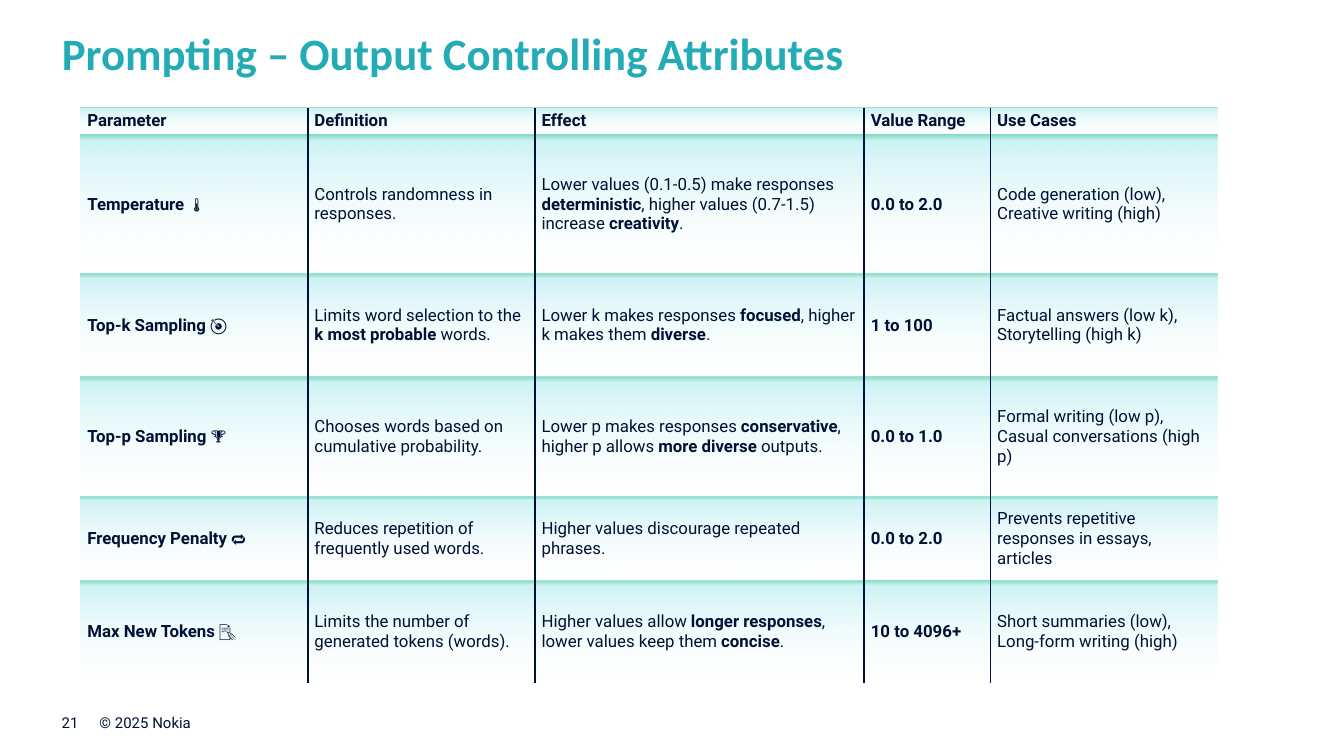
from lxml import etree
from pptx import Presentation
from pptx.dml.color import RGBColor
from pptx.enum.text import MSO_ANCHOR as Anchor, MSO_AUTO_SIZE as AutoSize, PP_ALIGN as Align
from pptx.oxml import parse_xml
from pptx.oxml.ns import nsdecls, qn
from pptx.util import Inches, Pt

# Content: **double stars** mark bold words
TITLE = "Prompting – Output Controlling Attributes"
HEADER = ["Parameter", "Definition", "Effect", "Value Range", "Use Cases"]
ROWS = [
    ["Temperature 🌡️", "Controls randomness in responses.",
     "Lower values (0.1-0.5) make responses **deterministic**, "
     "higher values (0.7-1.5) increase **creativity**.",
     "0.0 to 2.0", "Code generation (low), Creative writing (high)"],
    ["Top-k Sampling 🎯", "Limits word selection to the **k most probable** words.",
     "Lower k makes responses **focused**, higher k makes them **diverse**.",
     "1 to 100", "Factual answers (low k), Storytelling (high k)"],
    ["Top-p Sampling 🏆", "Chooses words based on cumulative probability.",
     "Lower p makes responses **conservative**, higher p allows **more diverse** outputs.",
     "0.0 to 1.0", "Formal writing (low p), Casual conversations (high p)"],
    ["Frequency Penalty 🔁", "Reduces repetition of frequently used words.",
     "Higher values discourage repeated phrases.",
     "0.0 to 2.0", "Prevents repetitive responses in essays, articles"],
    ["Max New Tokens 📝", "Limits the number of generated tokens (words).",
     "Higher values allow **longer responses**, lower values keep them **concise**.",
     "10 to 4096+", "Short summaries (low), Long-form writing (high)"],
]
FOOTER = [("21", 0.46, 0.13), ("© 2025 Nokia", 0.74, 0.69)]  # text, left, width

# Style
COLORS = {"ink": "001135", "title": "23ABB6",
          "fade": "FFFFFF", "tint": "CEF3F6", "edge": "7EDBC2"}
COLUMN_WIDTHS = [1.69, 1.69, 2.45, 0.94, 1.69]
ROW_HEIGHTS = [0.2, 1.04, 0.76, 0.9, 0.62, 0.76]
TABLE_WIDTH, TABLE_HEIGHT = Inches(8.47), Inches(4.26)
BOLD_COLUMNS = {0, 3}
NO_STYLE = "{2D5ABB26-0587-4C30-8999-92F81FD0307C}"
GRADIENT = f"""<a:gradFill {nsdecls('a')} rotWithShape="1"><a:gsLst>
<a:gs pos="0"><a:srgbClr val="{COLORS['fade']}"><a:alpha val="0"/></a:srgbClr></a:gs>
<a:gs pos="95000"><a:srgbClr val="{COLORS['tint']}"/></a:gs>
<a:gs pos="100000"><a:srgbClr val="{COLORS['edge']}"/></a:gs>
</a:gsLst><a:lin ang="16200000" scaled="0"/></a:gradFill>"""


def style_font(font, name, size, color, bold=False):
    font.name, font.size, font.bold = name, Pt(size), bold
    font.color.rgb = RGBColor.from_string(COLORS[color])


def clear_margins(frame):
    frame.margin_left = frame.margin_right = frame.margin_top = frame.margin_bottom = 0


def add_border(cell, side):
    line = etree.SubElement(cell._tc.get_or_add_tcPr(), qn(f"a:{side}"), w=str(Pt(1)))
    fill = etree.SubElement(line, qn("a:solidFill"))
    etree.SubElement(fill, qn("a:srgbClr"), val=COLORS["ink"])


def fill_cell(cell, text, column, bold):
    cell.vertical_anchor = Anchor.MIDDLE
    cell.margin_left = cell.margin_right = Inches(0.05)
    cell.margin_top = cell.margin_bottom = Pt(1.9)
    para = cell.text_frame.paragraphs[0]
    for index, part in enumerate(text.split("**")):
        span = para.add_run()
        span.text = part
        style_font(span.font, "Roboto", 9, "ink", bold or index % 2 == 1)
    # Vertical rules between columns only; borders must precede the fill
    if column > 0:
        add_border(cell, "lnL")
    if column < len(HEADER) - 1:
        add_border(cell, "lnR")
    cell._tc.get_or_add_tcPr().append(parse_xml(GRADIENT))


# A 16:9 page
deck = Presentation()
deck.slide_width = Inches(10)
deck.slide_height = deck.slide_width * 9 // 16
page = deck.slides.add_slide(deck.slide_layouts[5])

# Title
title = page.shapes.title
title.left, title.top = Inches(0.46), Inches(0.19)
title.width, title.height = Inches(9.09), Inches(0.37)
frame = title.text_frame
frame.text = TITLE
frame.auto_size = AutoSize.NONE
frame.vertical_anchor = Anchor.TOP
clear_margins(frame)
frame.paragraphs[0].alignment = Align.LEFT
style_font(frame.paragraphs[0].runs[0].font, "Calibri", 24, "title", True)

# Parameter table
table_frame = page.shapes.add_table(
    len(ROWS) + 1, len(HEADER), Inches(0.6), Inches(0.8), TABLE_WIDTH, TABLE_HEIGHT)
table = table_frame.table
table.horz_banding = False
table._tbl.tblPr.find(qn("a:tableStyleId")).text = NO_STYLE
for column, width in zip(table.columns, COLUMN_WIDTHS):
    column.width = Inches(width)
for row, height in zip(table.rows, ROW_HEIGHTS):
    row.height = Inches(height)
# Changing rows and columns resizes the frame, so its size is set last
table_frame.width, table_frame.height = TABLE_WIDTH, TABLE_HEIGHT
for r, texts in enumerate([HEADER] + ROWS):
    for c, text in enumerate(texts):
        fill_cell(table.cell(r, c), text, c, r == 0 or c in BOLD_COLUMNS)

# Page number and copyright line
for text, left, width in FOOTER:
    box = page.shapes.add_textbox(Inches(left), Inches(5.31), Inches(width), Inches(0.13))
    frame = box.text_frame
    frame.text = text
    frame.word_wrap = False
    frame.vertical_anchor = Anchor.BOTTOM
    clear_margins(frame)
    style_font(frame.paragraphs[0].runs[0].font, "Roboto", 8, "ink")

deck.save("out.pptx")
